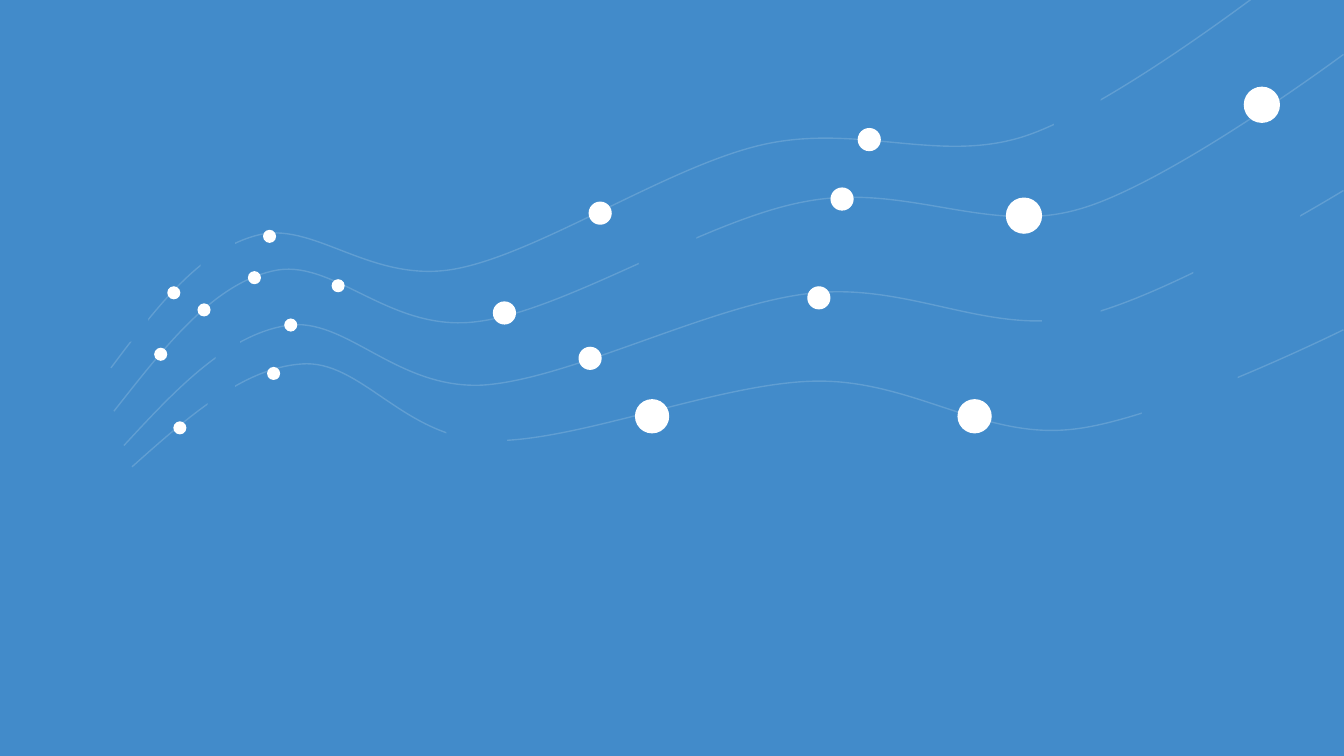
import math

from lxml import etree
from pptx import Presentation
from pptx.dml.color import RGBColor
from pptx.enum import shapes
from pptx.oxml.ns import qn
from pptx.util import Cm, Pt

SKY = RGBColor(0x42, 0x8B, 0xCA)
WAVE = RGBColor(0x60, 0x9E, 0xD2)
WHITE = RGBColor(0xFF, 0xFF, 0xFF)

# Positions below are on a grid of 2.54 cm.
GRID = 2.54

# Each wave: tilt in degrees, centre, then a start point followed by
# cubic curves (two control points and an end point each).
WAVES = [
    (9.1, (7.33, 3.95), [
        (1.31, 4.63), (1.86, 4.14), (2.41, 3.65), (2.99, 3.61), (3.58, 3.56),
        (4, 4.34), (4.84, 4.37), (5.69, 4.4), (7.12, 3.8), (8.08, 3.78),
        (9.04, 3.76), (9.74, 4.35), (10.62, 4.26), (11.49, 4.18),
        (13.33, 3.27), (13.33, 3.27)]),
    (0, (7.23, 2.31), [
        (1.13, 4.08), (1.62, 3.46), (2.1, 2.83), (2.7, 2.69), (3.3, 2.54),
        (3.86, 3.31), (4.74, 3.19), (5.62, 3.08), (7, 2.18), (7.99, 2),
        (8.98, 1.81), (9.8, 2.33), (10.69, 2.08), (11.58, 1.84),
        (13.33, 0.54), (13.33, 0.54)]),
    (3.5, (7.28, 3.16), [
        (1.23, 4.42), (1.73, 3.88), (2.24, 3.33), (2.84, 3.23), (3.43, 3.13),
        (3.93, 3.87), (4.8, 3.82), (5.66, 3.76), (7.06, 3.02), (8.04, 2.91),
        (9.01, 2.8), (9.78, 3.32), (10.67, 3.15), (11.55, 2.98),
        (13.33, 1.89), (13.33, 1.89)]),
    (-3.4, (6.85, 1.76), [
        (1.1, 3.65), (1.53, 3.08), (1.96, 2.5), (2.53, 2.34), (3.1, 2.17),
        (3.67, 2.82), (4.51, 2.67), (5.34, 2.52), (6.61, 1.66), (7.55, 1.44),
        (8.49, 1.22), (9.3, 1.62), (10.14, 1.36), (10.98, 1.1),
        (12.59, -0.14), (12.59, -0.14)]),
]

# Background-coloured blocks that break the waves: left, top, width, height
GAPS = [
    (2.06, 3.74, 0.27, 0.54), (2.14, 3.33, 0.24, 0.34),
    (1.99, 2.22, 0.34, 0.54), (1.19, 2.99, 0.28, 0.4),
    (4.43, 3.94, 0.6, 0.98), (6.34, 1.97, 0.57, 0.89),
    (10.34, 2.6, 0.58, 0.98), (10.46, 0.69, 0.46, 0.98),
    (11.84, 1.75, 1.06, 0.98), (11.33, 3.39, 0.95, 0.98),
]

# Left and top of each dot, by diameter
DOTS = {
    0.13: [(2.61, 2.28), (2.46, 2.69), (1.66, 2.84), (1.96, 3.01),
           (1.53, 3.45), (2.82, 3.16), (1.72, 4.18), (2.65, 3.64),
           (3.29, 2.77)],
    0.23: [(5.84, 2), (8.51, 1.27), (8.24, 1.86), (4.89, 2.99),
           (5.74, 3.44), (8.01, 2.84)],
    0.34: [(9.5, 3.96), (6.3, 3.96)],
    0.36: [(9.98, 1.96), (12.34, 0.86)],
}


def grid(value):
    return Cm(value * GRID)


def turn_back(point, centre, degrees):
    """Undo a clockwise tilt of the point about the centre."""
    angle = math.radians(degrees)
    dx, dy = point[0] - centre[0], point[1] - centre[1]
    x = centre[0] + dx * math.cos(angle) + dy * math.sin(angle)
    y = centre[1] - dx * math.sin(angle) + dy * math.cos(angle)
    return grid(x), grid(y)


def add_wave(group, tilt, centre, points):
    start, *rest = [turn_back(point, centre, tilt) for point in points]
    builder = group.shapes.build_freeform(*start)
    builder.add_line_segments(rest, close=False)
    wave = builder.convert_to_shape()
    wave.rotation = tilt
    wave.shadow.inherit = False
    wave.fill.background()
    wave.line.color.rgb = WAVE
    wave.line.width = Pt(1)

    # Join every three segments into one cubic curve
    path = next(wave.element.iter(qn("a:path")))
    segments = path.findall(qn("a:lnTo"))
    for i in range(0, len(segments), 3):
        curve = etree.SubElement(path, qn("a:cubicBezTo"))
        for segment in segments[i:i + 3]:
            curve.append(segment[0])
            path.remove(segment)


def add_plain(slide, kind, left, top, width, height, color):
    plain = slide.shapes.add_shape(
        kind, grid(left), grid(top), grid(width), grid(height))
    plain.shadow.inherit = False
    plain.fill.solid()
    plain.fill.fore_color.rgb = color
    plain.line.fill.background()


def main():
    deck = Presentation()
    deck.slide_width, deck.slide_height = Cm(33.87), Cm(19.05)
    slide = deck.slides.add_slide(deck.slide_layouts[6])
    slide.background.fill.solid()
    slide.background.fill.fore_color.rgb = SKY

    # Waves
    waves = slide.shapes.add_group_shape()
    for tilt, centre, points in WAVES:
        add_wave(waves, tilt, centre, points)

    # Gaps in the waves
    for gap in GAPS:
        add_plain(slide, shapes.MSO_SHAPE.RECTANGLE, *gap, SKY)

    # Dots
    for size, places in DOTS.items():
        for left, top in places:
            add_plain(slide, shapes.MSO_SHAPE.OVAL, left, top, size, size, WHITE)

    deck.save("out.pptx")


if __name__ == "__main__":
    main()
